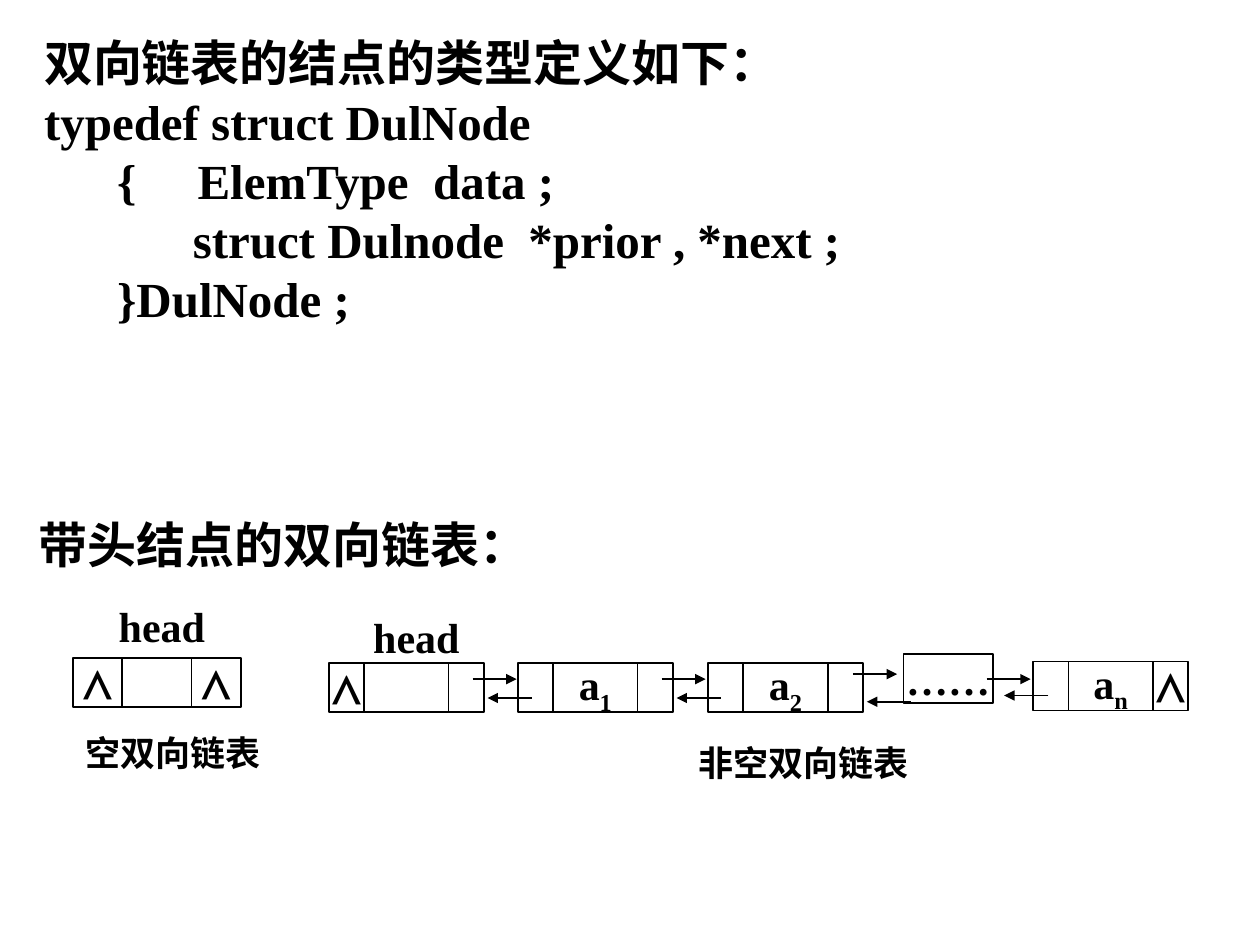
from dataclasses import dataclass

from lxml import etree
from pptx import Presentation
from pptx.dml.color import RGBColor
from pptx.enum.shapes import MSO_CONNECTOR, MSO_SHAPE
from pptx.enum.text import MSO_ANCHOR, MSO_AUTO_SIZE, PP_ALIGN
from pptx.oxml.ns import qn
from pptx.slide import Slide
from pptx.util import Inches, Pt

BLACK = RGBColor(0, 0, 0)
RECTANGLE = MSO_SHAPE.RECTANGLE
STRAIGHT = MSO_CONNECTOR.STRAIGHT
CENTER = PP_ALIGN.CENTER
LEFT = PP_ALIGN.LEFT
MIDDLE = MSO_ANCHOR.MIDDLE
TOP = MSO_ANCHOR.TOP
NO_AUTOFIT = MSO_AUTO_SIZE.NONE

CELL_HEIGHT = 0.39
NULL_LINK = "⋀"
CODE_LINES = [
    ("typedef struct DulNode", 0, 0),
    ("{     ElemType  data ;", 1, 0.58),
    ("struct Dulnode  *prior , *next ;", 2, 1.18),
    ("}DulNode ;", 1, 0.58),
]


@dataclass
class ListDiagram:
    slide: Slide
    latin: str = "Times New Roman"
    chinese: str = "Noto Sans CJK SC"

    def style(self, paragraph, size):
        font = paragraph.font
        font.size = Pt(size)
        font.bold = True
        font.color.rgb = BLACK
        font.name = self.latin
        defaults = paragraph._p.get_or_add_pPr().get_or_add_defRPr()
        etree.SubElement(defaults, qn("a:ea"), typeface=self.chinese)

    def body_line(self, paragraph, text, level=0, indent=0):
        """Fill one unbulleted line of heading or code."""
        paragraph.text = text
        paragraph.level = level
        paragraph.alignment = LEFT
        paragraph.line_spacing = 1.0
        paragraph.space_before = Pt(0)
        properties = paragraph._p.get_or_add_pPr()
        properties.set("marL", str(Inches(indent)))
        properties.set("indent", "0")
        etree.SubElement(properties, qn("a:buNone"))
        self.style(paragraph, 28)

    def heading(self, shape, text):
        frame = shape.text_frame
        frame.word_wrap = True
        frame.auto_size = NO_AUTOFIT
        frame.vertical_anchor = TOP
        frame.margin_top = Inches(0.09)
        self.body_line(frame.paragraphs[0], text)
        return frame

    def definition(self, text, code_lines):
        body = self.slide.placeholders[1]
        body.left, body.top = Inches(0.25), Inches(0.17)
        body.width, body.height = Inches(9.58), Inches(3.03)
        frame = self.heading(body, text)
        for line, level, indent in code_lines:
            self.body_line(frame.add_paragraph(), line, level, indent)

    def section(self, text):
        box = self.slide.shapes.add_textbox(
            Inches(0.21), Inches(3.99), Inches(9.58), Inches(2.58))
        self.heading(box, text)

    def centered(self, shape, text, size=24, subscript=""):
        frame = shape.text_frame
        frame.word_wrap = False
        frame.vertical_anchor = MIDDLE
        frame.margin_left = frame.margin_right = 0
        frame.margin_top = frame.margin_bottom = 0
        paragraph = frame.paragraphs[0]
        paragraph.alignment = CENTER
        self.style(paragraph, size)
        paragraph.add_run().text = text
        if subscript:
            run = paragraph.add_run()
            run.text = subscript
            run._r.get_or_add_rPr().set("baseline", "-25000")

    def label(self, left, top, width, text, size=24):
        box = self.slide.shapes.add_textbox(
            Inches(left), Inches(top), Inches(width), Inches(CELL_HEIGHT))
        self.centered(box, text, size)

    def cell(self, left, top, width, text="", subscript=""):
        box = self.slide.shapes.add_shape(
            RECTANGLE, Inches(left), Inches(top), Inches(width), Inches(CELL_HEIGHT))
        box.shadow.inherit = False
        box.fill.background()
        box.line.color.rgb = BLACK
        box.line.width = Pt(1)
        if text:
            self.centered(box, text, subscript=subscript)

    def node(self, left, top, prior="", data="", subscript="", following="",
             link_width=0.28, data_width=0.67):
        """Draw the prior link, the data and the next link side by side."""
        self.cell(left, top, link_width, prior)
        self.cell(left + link_width, top, data_width, data, subscript)
        self.cell(left + link_width + data_width, top, link_width, following)

    def arrow(self, start, end, y):
        line = self.slide.shapes.add_connector(
            STRAIGHT, Inches(start), Inches(y), Inches(end), Inches(y))
        line.line.color.rgb = BLACK
        line.line.width = Pt(1)
        outline = line.line._get_or_add_ln()
        etree.SubElement(outline, qn("a:tailEnd"), type="triangle")
        etree.SubElement(line._element.spPr, qn("a:effectLst"))


def main():
    presentation = Presentation()
    presentation.slide_width = Inches(10)
    presentation.slide_height = Inches(7.5)
    slide = presentation.slides.add_slide(presentation.slide_layouts[1])
    title = slide.shapes.title._element
    title.getparent().remove(title)

    diagram = ListDiagram(slide)
    diagram.definition("双向链表的结点的类型定义如下：", CODE_LINES)

    # Non-empty list
    diagram.cell(7.17, 5.19, 0.71, "……")
    diagram.label(5.47, 5.86, 1.81, "非空双向链表", 20)
    diagram.label(2.95, 4.86, 0.71, "head")
    diagram.node(2.61, 5.26, prior=NULL_LINK)
    diagram.node(4.11, 5.26, data="a", subscript="1")
    diagram.node(5.62, 5.26, data="a", subscript="2")
    diagram.node(8.2, 5.25, data="a", subscript="n", following=NULL_LINK)

    arrow_length = 0.35
    for start, y in [(3.75, 5.39), (5.25, 5.39), (6.77, 5.35), (7.83, 5.39)]:
        diagram.arrow(start, start + arrow_length, y)
    for start, y in [(4.22, 5.54), (5.72, 5.54), (7.23, 5.57), (8.32, 5.52)]:
        diagram.arrow(start, start - arrow_length, y)

    # Empty list
    diagram.label(0.59, 5.78, 1.57, "空双向链表", 20)
    diagram.label(0.91, 4.77, 0.75, "head")
    diagram.node(0.58, 5.22, prior=NULL_LINK, following=NULL_LINK,
                 link_width=0.39, data_width=0.55)

    diagram.section("带头结点的双向链表：")
    presentation.save("out.pptx")


if __name__ == "__main__":
    main()
